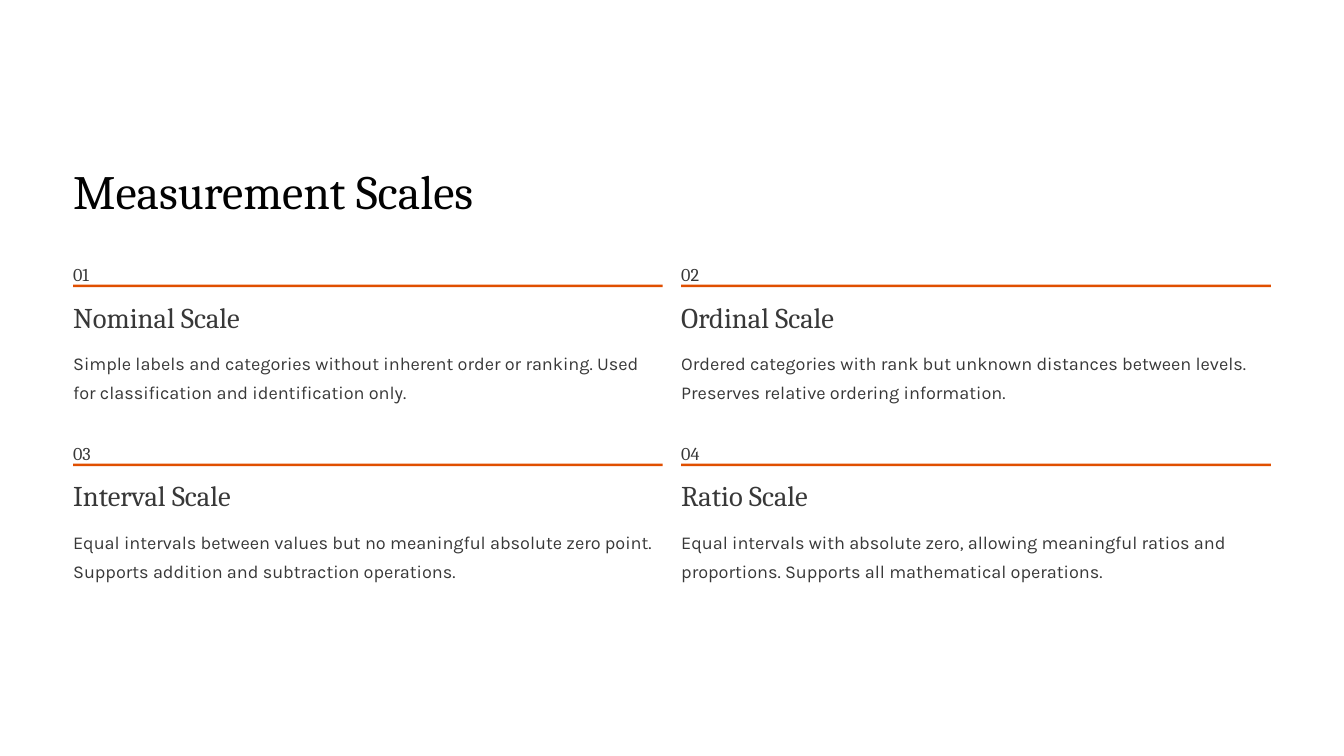
from pptx import Presentation
from pptx.dml.color import RGBColor
from pptx.enum.shapes import MSO_SHAPE
from pptx.enum.text import MSO_ANCHOR, MSO_AUTO_SIZE, PP_ALIGN
from pptx.util import Inches, Pt

WHITE = RGBColor(0xFF, 0xFF, 0xFF)
BLACK = RGBColor(0x02, 0x02, 0x02)
GREY = RGBColor(0x38, 0x38, 0x38)
ORANGE = RGBColor(0xE0, 0x4F, 0x00)
SERIF, SANS = "Cambria", "Karla"

LEFT, TOP = 0.87, 3.05
COLUMN_WIDTH, COLUMN_STEP, ROW_STEP = 7.02, 7.24, 2.13

SCALES = [
    ("Nominal Scale", "Simple labels and categories without inherent order or ranking. "
     "Used for classification and identification only."),
    ("Ordinal Scale", "Ordered categories with rank but unknown distances between levels. "
     "Preserves relative ordering information."),
    ("Interval Scale", "Equal intervals between values but no meaningful absolute zero point. "
     "Supports addition and subtraction operations."),
    ("Ratio Scale", "Equal intervals with absolute zero, allowing meaningful ratios and "
     "proportions. Supports all mathematical operations."),
]


def write(shape, text, font, size, color, line_height, wrap=False):
    frame = shape.text_frame
    frame.text = text
    frame.word_wrap = wrap
    frame.auto_size = MSO_AUTO_SIZE.NONE
    frame.vertical_anchor = MSO_ANCHOR.TOP
    frame.margin_left = frame.margin_right = frame.margin_top = frame.margin_bottom = 0
    paragraph = frame.paragraphs[0]
    paragraph.alignment = PP_ALIGN.LEFT
    paragraph.line_spacing = Pt(line_height)
    run_font = paragraph.runs[0].font
    run_font.name, run_font.size, run_font.color.rgb = font, Pt(size), color


def add_text(left, top, width, height, *style, wrap=False):
    box = slide.shapes.add_textbox(Inches(left), Inches(top), Inches(width), Inches(height))
    write(box, *style, wrap=wrap)


prs = Presentation()
prs.slide_width, prs.slide_height = Inches(16), Inches(9)
slide = prs.slides.add_slide(prs.slide_layouts[5])
slide.background.fill.solid()
slide.background.fill.fore_color.rgb = WHITE

# Title
title = slide.shapes.title
title.left, title.top = Inches(LEFT), Inches(1.9)
title.width, title.height = Inches(5.7), Inches(0.71)
write(title, "Measurement Scales", SERIF, 41, BLACK, 51)

# Two-by-two grid: number, rule, heading and description
for index, (heading, description) in enumerate(SCALES):
    row, column = divmod(index, 2)
    x = LEFT + column * COLUMN_STEP
    y = TOP + row * ROW_STEP
    add_text(x, y, 0.22, 0.27, f"{index + 1:02d}", SERIF, 15.5, GREY, 25)
    rule = slide.shapes.add_shape(MSO_SHAPE.RECTANGLE, Inches(x), Inches(y + 0.34),
                                  Inches(COLUMN_WIDTH), Inches(0.03))
    rule.shadow.inherit = False
    rule.fill.solid()
    rule.fill.fore_color.rgb = ORANGE
    rule.line.fill.background()
    add_text(x, y + 0.5, 3.42, 0.43, heading, SERIF, 24.5, GREY, 30.5)
    add_text(x, y + 1.06, COLUMN_WIDTH, 0.69, description, SANS, 15.5, GREY, 25, wrap=True)

prs.save("out.pptx")
